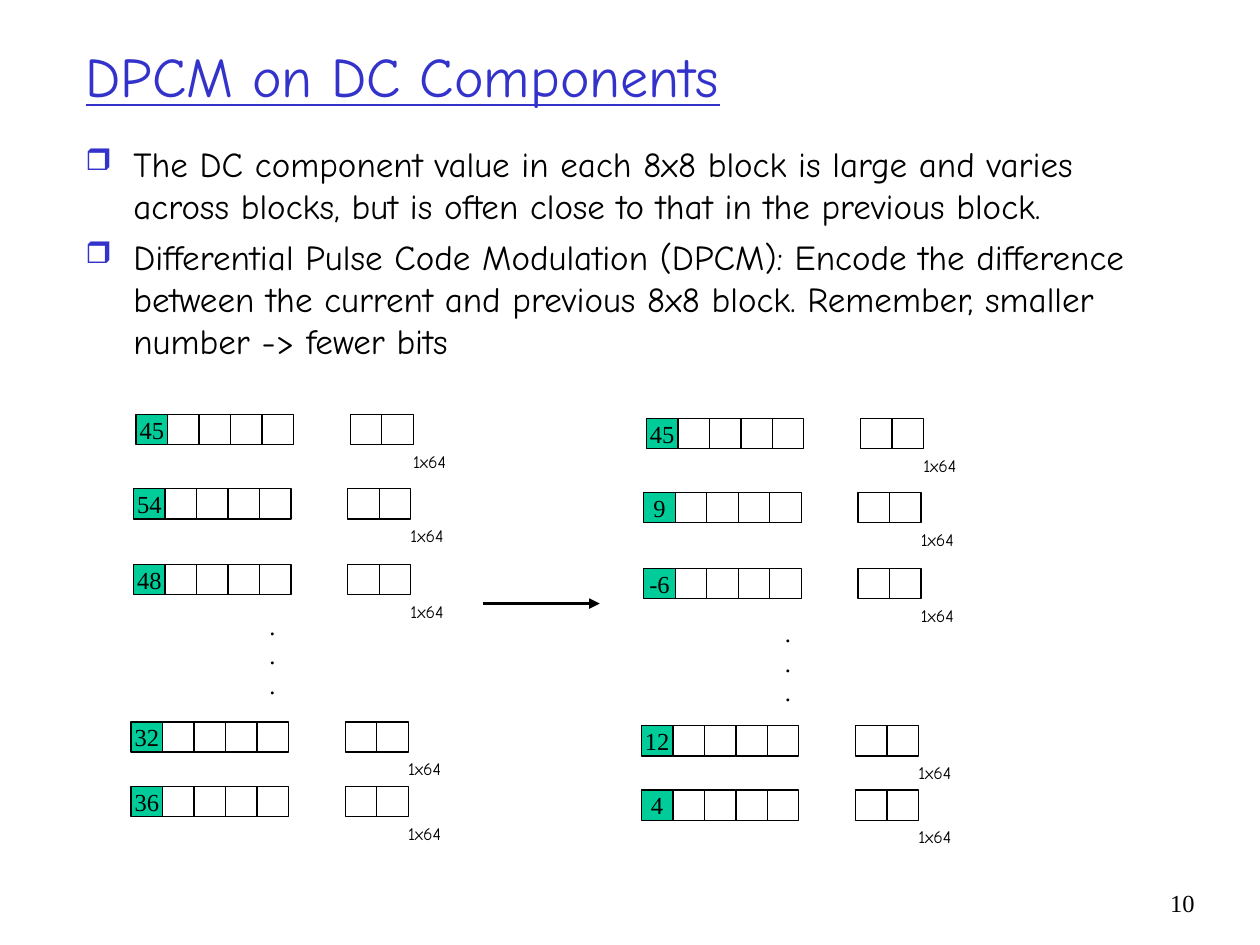
"""Build the slide on DPCM coding of DC components."""
import pptx
import pptx.util
import pptx.dml.color
import pptx.enum.shapes
import pptx.enum.text
import pptx.oxml
import pptx.oxml.ns
from lxml import etree

Inches, Pt = pptx.util.Inches, pptx.util.Pt
ALIGN, ANCHOR = pptx.enum.text.PP_ALIGN, pptx.enum.text.MSO_ANCHOR
qn = pptx.oxml.ns.qn
COLORS = {"ink": "000000", "accent": "3333CC", "dc": "00CC99"}
SANS, SERIF = "Comic Neue", "Times New Roman"
CELL, CELL_HEIGHT = 0.25, 0.24


def color(name):
    return pptx.dml.color.RGBColor.from_string(COLORS[name])


def write(paragraph, wording, size, font, ink="ink"):
    run = paragraph.add_run()
    run.text = wording
    run.font.size = Pt(size)
    run.font.name = font
    run.font.color.rgb = color(ink)
    return run


deck = pptx.Presentation()
deck.slide_width, deck.slide_height = Inches(10), Inches(7.5)
slide = deck.slides.add_slide(deck.slide_layouts[5])
shapes = slide.shapes

heading = shapes.title
heading.left, heading.top, heading.width, heading.height = map(Inches, (0.58, 0.25, 8.5, 0.7))
heading.text_frame.vertical_anchor = ANCHOR.MIDDLE
heading.text_frame.paragraphs[0].alignment = ALIGN.LEFT
write(heading.text_frame.paragraphs[0], "DPCM on DC Components", 32, SANS, "accent").font.underline = True

points = [
    "The DC component value in each 8x8 block is large and varies across blocks, "
    "but is often close to that in the previous block.",
    "Differential Pulse Code Modulation (DPCM): Encode the difference between the "
    "current and previous 8x8 block. Remember, smaller number -> fewer bits",
]
body = shapes.add_textbox(*map(Inches, (0.58, 1.08, 8.71, 2.08))).text_frame
body.word_wrap = True
for index, point in enumerate(points):
    paragraph = body.paragraphs[0] if index == 0 else body.add_paragraph()
    properties = paragraph._p.get_or_add_pPr()
    properties.set("marL", str(Inches(0.38)))
    properties.set("indent", str(-Inches(0.38)))
    bullet_color = etree.SubElement(properties, qn("a:buClr"))
    etree.SubElement(bullet_color, qn("a:srgbClr"), val=COLORS["accent"])
    etree.SubElement(properties, qn("a:buSzPct"), val="85000")
    etree.SubElement(properties, qn("a:buChar"), char="❒")
    paragraph.space_before = Pt(5 if index else 0)
    write(paragraph, point, 20, SANS)

row_offsets = [(0, 0), (-0.02, 0.59), (-0.02, 1.19), (-0.04, 2.44), (-0.04, 2.95)]
cell_columns = [0, 1, 2, 3, 4, 6.8, 7.8]
blocks = [
    (1.08, 3.29, ["45", "54", "48", "32", "36"], (2.04, 4.8)),
    (5.13, 3.32, ["45", "9", "-6", "12", "4"], (6.13, 4.86)),
]
for block_left, block_top, dc_values, dots_corner in blocks:
    for dc_value, (shift, drop) in zip(dc_values, row_offsets):
        left, top = block_left + shift, block_top + drop
        for column in cell_columns:
            cell = shapes.add_shape(
                pptx.enum.shapes.MSO_SHAPE.RECTANGLE,
                *map(Inches, (left + column * CELL, top, CELL, CELL_HEIGHT)))
            cell.shadow.inherit = False
            cell.line.color.rgb = color("ink")
            cell.line.width = Pt(0.75)
            if column:
                cell.fill.background()
                continue
            cell.fill.solid()
            cell.fill.fore_color.rgb = color("dc")
            cell.text_frame.word_wrap = False
            cell.text_frame.vertical_anchor = ANCHOR.MIDDLE
            cell.text_frame.paragraphs[0].alignment = ALIGN.CENTER
            write(cell.text_frame.paragraphs[0], dc_value, 14, SERIF)
        dimension = shapes.add_textbox(*map(Inches, (left + 2.1, top + CELL_HEIGHT, 0.46, 0.27)))
        dimension.text_frame.word_wrap = False
        write(dimension.text_frame.paragraphs[0], "1x64", 10, SANS)

    dots = shapes.add_textbox(*map(Inches, (*dots_corner, 0.25, 0.8))).text_frame
    dots.word_wrap = False
    for index in range(3):
        write(dots.add_paragraph() if index else dots.paragraphs[0], ".", 14, SERIF)

arrow = shapes.add_connector(
    pptx.enum.shapes.MSO_CONNECTOR.STRAIGHT, *map(Inches, (3.83, 4.79, 4.76, 4.79)))
arrow.line.color.rgb = color("ink")
arrow.line.width = Pt(2)
etree.SubElement(arrow.line._get_or_add_ln(), qn("a:tailEnd"), type="triangle")
etree.SubElement(arrow._element.spPr, qn("a:effectLst"))

page_number = shapes.add_textbox(*map(Inches, (9.08, 7, 0.5, 0.5))).text_frame
page_number.word_wrap = True
page_number.paragraphs[0].alignment = ALIGN.RIGHT
write(page_number.paragraphs[0], "10", 14, SERIF)

deck.save("out.pptx")
